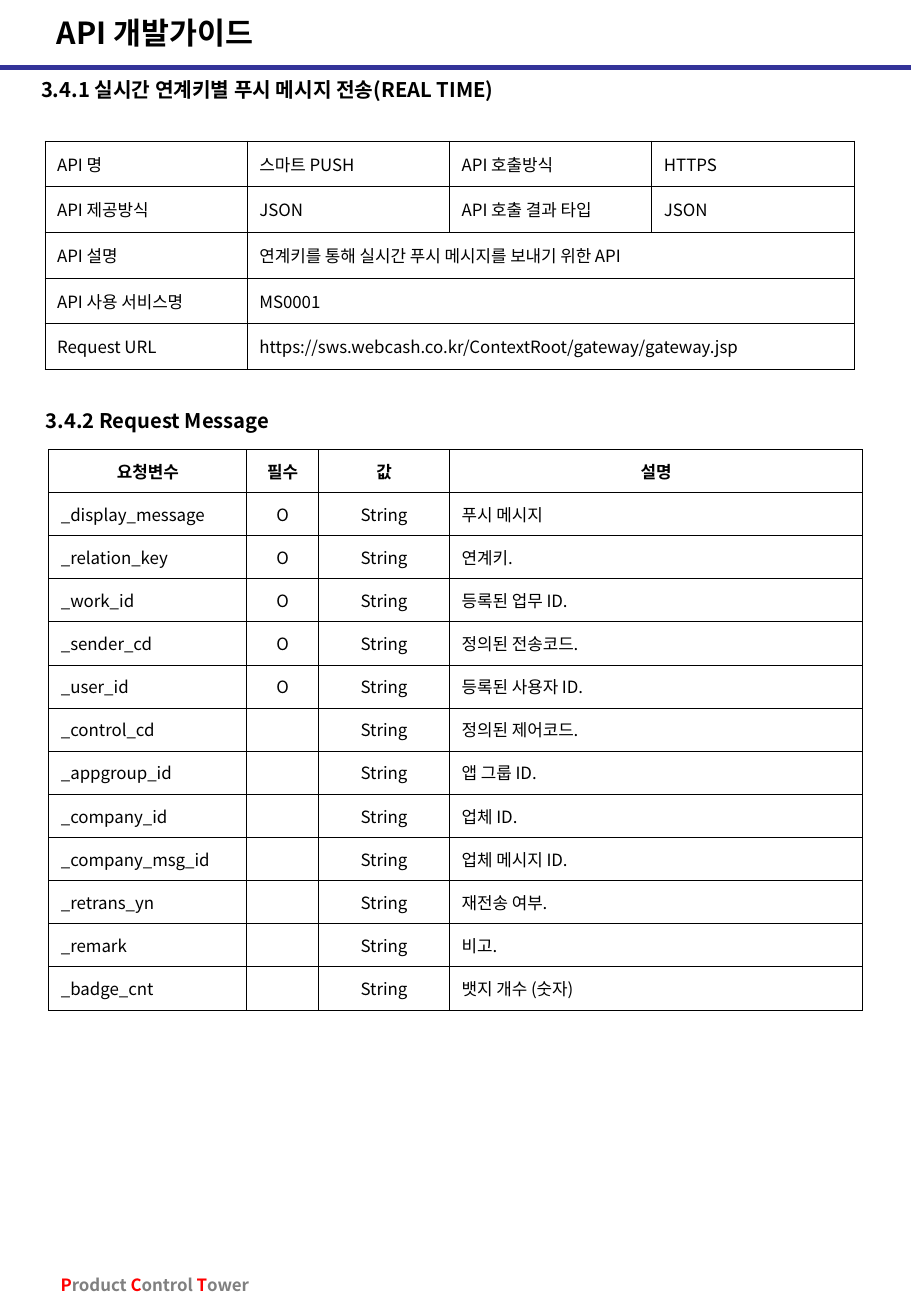
from dataclasses import dataclass

from lxml import etree
from pptx import Presentation
from pptx.dml.color import RGBColor
from pptx.enum.shapes import MSO_CONNECTOR
from pptx.enum.text import MSO_ANCHOR, PP_ALIGN
from pptx.oxml.ns import qn
from pptx.util import Cm, Pt

LEFT, CENTER = PP_ALIGN.LEFT, PP_ALIGN.CENTER
MIDDLE = MSO_ANCHOR.MIDDLE
STRAIGHT = MSO_CONNECTOR.STRAIGHT


@dataclass(frozen=True)
class Theme:
    font: str = "Noto Sans CJK KR"
    text: str = "000000"
    rule: str = "333399"
    initial: str = "FF0000"
    footer: str = "808080"
    title_size: int = 18
    heading_size: int = 12
    body_size: int = 10
    rule_width: float = 3
    border_width: float = 0.45


THEME = Theme()

API_ROWS = [
    ["API 명", "스마트 PUSH", "API 호출방식", "HTTPS"],
    ["API 제공방식", "JSON", "API 호출 결과 타입", "JSON"],
    ["API 설명", "연계키를 통해 실시간 푸시 메시지를 보내기 위한 API"],
    ["API 사용 서비스명", "MS0001"],
    ["Request URL", "https://sws.webcash.co.kr/ContextRoot/gateway/gateway.jsp"],
]
REQUEST_HEADER = ["요청변수", "필수", "값", "설명"]
REQUIRED_FIELDS = [
    ("_display_message", "푸시 메시지"),
    ("_relation_key", "연계키."),
    ("_work_id", "등록된 업무 ID."),
    ("_sender_cd", "정의된 전송코드."),
    ("_user_id", "등록된 사용자 ID."),
]
OPTIONAL_FIELDS = [
    ("_control_cd", "정의된 제어코드."),
    ("_appgroup_id", "앱 그룹 ID."),
    ("_company_id", "업체 ID."),
    ("_company_msg_id", "업체 메시지 ID."),
    ("_retrans_yn", "재전송 여부."),
    ("_remark", "비고."),
    ("_badge_cnt", "뱃지 개수 (숫자)"),
]


def style_paragraph(p, size, bold=False, align=LEFT):
    p.alignment = align
    p.font.name = THEME.font
    p.font.size = Pt(size)
    p.font.bold = bold
    p.font.color.rgb = RGBColor.from_string(THEME.text)
    props = p._p.pPr.find(qn("a:defRPr"))
    etree.SubElement(props, qn("a:ea"), typeface=THEME.font)


def add_text(slide, left, top, width, height, text, size, wrap=True):
    sp = slide.shapes.add_textbox(Cm(left), Cm(top), Cm(width), Cm(height))
    tf = sp.text_frame
    tf.word_wrap = wrap
    p = tf.paragraphs[0]
    p.text = text
    style_paragraph(p, size, bold=True)
    return p


def add_footer(slide):
    p = add_text(slide, 1.02, 26.54, 4.47, 0.69, "", THEME.body_size, wrap=False)
    for word in ("Product ", "Control ", "Tower"):
        for part, color in ((word[0], THEME.initial), (word[1:], THEME.footer)):
            r = p.add_run()
            r.text = part
            r.font.color.rgb = RGBColor.from_string(color)


def add_rule(slide, y, width):
    line = slide.shapes.add_connector(STRAIGHT, 0, Cm(y), width, Cm(y))
    line.line.color.rgb = RGBColor.from_string(THEME.rule)
    line.line.width = Pt(THEME.rule_width)
    etree.SubElement(line._element.spPr, qn("a:effectLst"))


def set_borders(cell):
    props = cell._tc.get_or_add_tcPr()
    for i, side in enumerate(("a:lnL", "a:lnR", "a:lnT", "a:lnB")):
        ln = etree.Element(qn(side), w=str(int(Pt(THEME.border_width))))
        fill = etree.SubElement(ln, qn("a:solidFill"))
        etree.SubElement(fill, qn("a:srgbClr"), val=THEME.text)
        props.insert(i, ln)


def fill_cell(cell, text, bold, align):
    cell.vertical_anchor = MIDDLE
    cell.fill.background()
    set_borders(cell)
    p = cell.text_frame.paragraphs[0]
    if text:
        p.text = text
    style_paragraph(p, THEME.body_size, bold, align)
    if not text:
        size = str(THEME.body_size * 100)
        etree.SubElement(p._p, qn("a:endParaRPr"), sz=size)


def add_grid(slide, left, top, height, widths, rows, aligns, header=False):
    """Add a bordered table; the last cell of a short row spans to the right edge."""
    frame = slide.shapes.add_table(len(rows), len(widths), Cm(left), Cm(top),
                                   Cm(sum(widths)), Cm(height))
    table = frame.table
    table.first_row = table.horz_banding = False
    for column, width in zip(table.columns, widths):
        column.width = Cm(width)
    last = len(widths) - 1
    for i, row in enumerate(rows):
        is_header = header and i == 0
        for j, align in enumerate(aligns):
            text = row[j] if j < len(row) else ""
            fill_cell(table.cell(i, j), text, is_header,
                      CENTER if is_header else align)
        if len(row) <= last:
            table.cell(i, len(row) - 1).merge(table.cell(i, last))


def main():
    prs = Presentation()
    prs.slide_width, prs.slide_height = Cm(19.05), Cm(27.53)
    slide = prs.slides.add_slide(prs.slide_layouts[6])

    add_rule(slide, 1.42, prs.slide_width)
    add_footer(slide)
    add_text(slide, 0.94, 0.18, 17.42, 1.02, "API 개발가이드", THEME.title_size)

    add_text(slide, 0.61, 1.5, 17.7, 0.76,
             "3.4.1 실시간 연계키별 푸시 메시지 전송(REAL TIME)", THEME.heading_size)
    add_grid(slide, 0.94, 2.95, 4.78, [4.23] * 4, API_ROWS, [LEFT] * 4)

    add_text(slide, 0.71, 8.41, 17.6, 0.76, "3.4.2 Request Message",
             THEME.heading_size)
    request_rows = [REQUEST_HEADER]
    for mark, fields in (("O", REQUIRED_FIELDS), ("", OPTIONAL_FIELDS)):
        request_rows += [[name, mark, "String", note] for name, note in fields]
    add_grid(slide, 1.02, 9.4, 11.73, [4.14, 1.5, 2.74, 8.64], request_rows,
             [LEFT, CENTER, CENTER, LEFT], header=True)

    prs.save("out.pptx")


if __name__ == "__main__":
    main()
